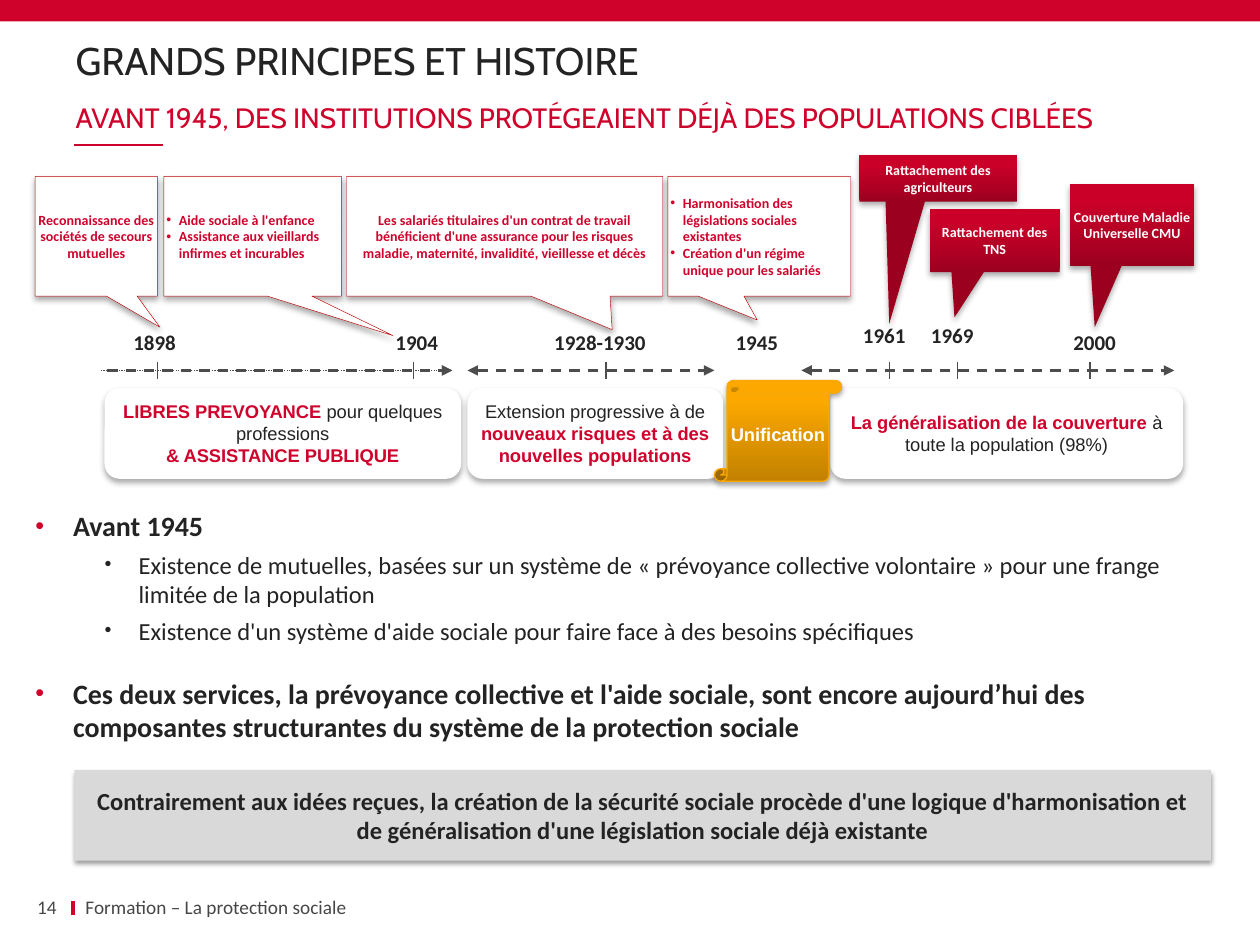
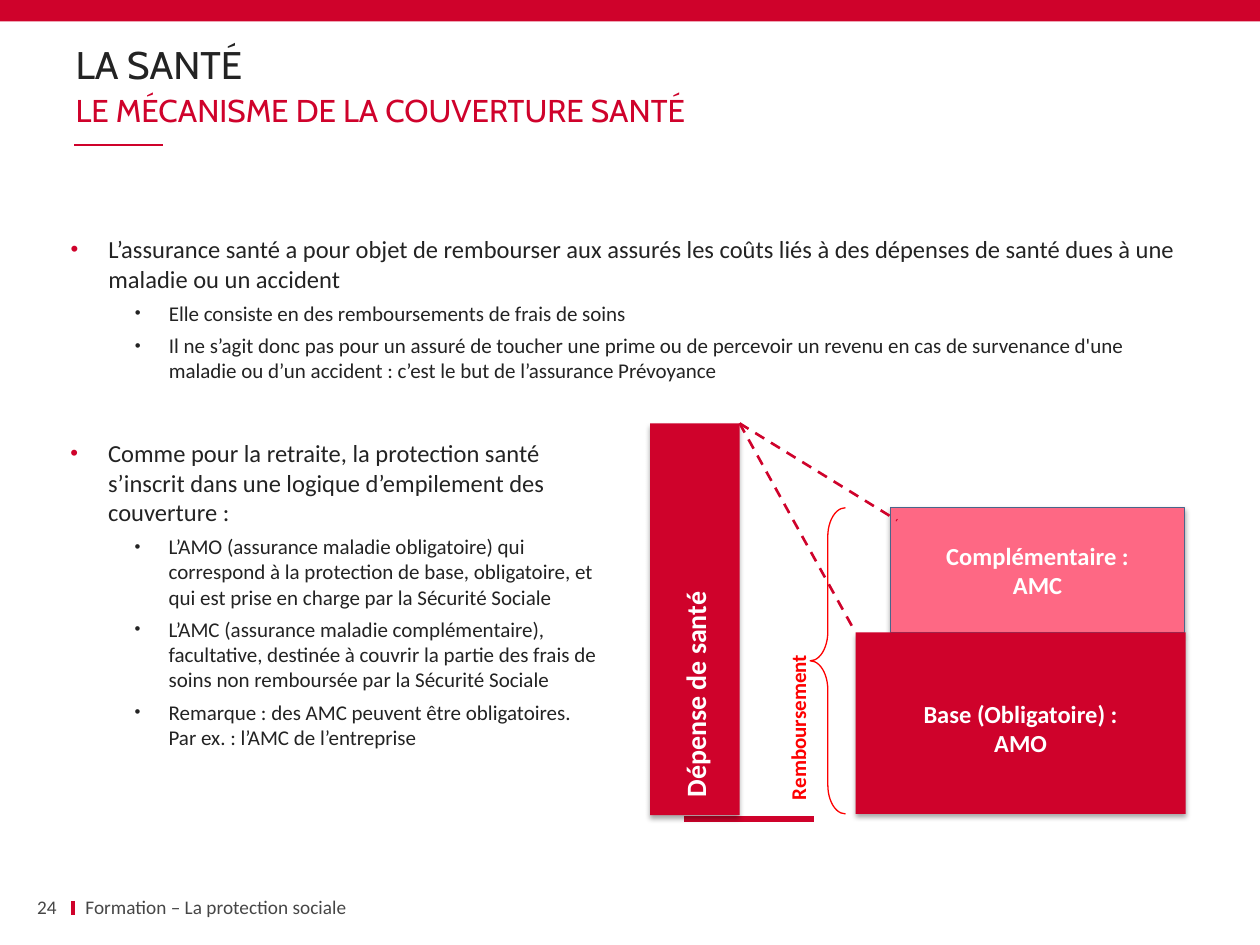
from dataclasses import dataclass

from lxml import etree
from pptx import Presentation
from pptx.dml.color import RGBColor
from pptx.enum.dml import MSO_LINE
from pptx.enum.shapes import MSO_CONNECTOR, MSO_SHAPE
from pptx.enum.text import MSO_ANCHOR, MSO_AUTO_SIZE, PP_ALIGN
from pptx.oxml.ns import qn
from pptx.util import Inches, Pt

LEFT, CENTER, RIGHT = PP_ALIGN.LEFT, PP_ALIGN.CENTER, PP_ALIGN.RIGHT
TOP, MIDDLE = MSO_ANCHOR.TOP, MSO_ANCHOR.MIDDLE
DASH, DOT = MSO_LINE.DASH, MSO_LINE.ROUND_DOT
STRAIGHT = MSO_CONNECTOR.STRAIGHT
FIXED = MSO_AUTO_SIZE.NONE
RECT, ROUND = MSO_SHAPE.RECTANGLE, MSO_SHAPE.ROUNDED_RECTANGLE
CALLOUT, SCROLL = MSO_SHAPE.RECTANGULAR_CALLOUT, MSO_SHAPE.VERTICAL_SCROLL
BRACE = MSO_SHAPE.LEFT_BRACE


@dataclass(frozen=True)
class Theme:
    red: str = "CF022B"
    ink: str = "232323"
    gray: str = "464646"
    axis: str = "4D4D4D"
    white: str = "FFFFFF"
    edge: str = "C00000"
    pink: str = "FE6884"
    blue: str = "4A658A"
    alert: str = "FD0000"
    panel: str = "D9D9D9"
    wine: tuple = ("9C001F", "CB0029")
    gold: tuple = ("C28100", "FCA800")
    amber: str = "FAA804"
    head: str = "Cabin"
    body: str = "Calibri"
    sans: str = "Arial"
    title: int = 22
    large: int = 16
    text: int = 14
    small: int = 12
    foot: int = 11
    stage: float = 10.5
    note: int = 8


THEME = Theme()
NONE = (0, 0, 0, 0)
FLAT = (0, 0.05, 0, 0.05)
PLAIN = (0.1, 0.05, 0.1, 0.05)
TIGHT = (0.02, 0.02, 0.02, 0.02)
SOFT = (32, 3.5, 2.2)
FIRM = (35, 3.1, 1.8)


def rgb(code):
    return RGBColor.from_string(code)


def setup(frame, pad=PLAIN, anchor=MIDDLE, wrap=True, turn=None):
    frame.auto_size = FIXED
    frame.word_wrap = wrap
    frame.vertical_anchor = anchor
    (frame.margin_left, frame.margin_top,
     frame.margin_right, frame.margin_bottom) = map(Inches, pad)
    if turn:
        frame._txBody.bodyPr.set("vert", turn)
    return frame


def write(frame, text, size=THEME.text, color=THEME.ink, face=THEME.body,
          bold=False, align=LEFT, gap=0, lead=None, level=0,
          mark=None, indent=(0, 0)):
    fresh = not frame.text
    para = frame.paragraphs[0] if fresh else frame.add_paragraph()
    para.level = level
    props = para._p.get_or_add_pPr()
    props.set("marL", str(Inches(indent[0])))
    props.set("indent", str(Inches(indent[1])))
    if mark:
        tint, scale = mark
        shade = etree.SubElement(props, qn("a:buClr"))
        etree.SubElement(shade, qn("a:srgbClr"), val=tint)
        etree.SubElement(props, qn("a:buSzPct"), val=str(scale * 1000))
        etree.SubElement(props, qn("a:buFont"), typeface=THEME.sans)
        etree.SubElement(props, qn("a:buChar"), char="•")
    else:
        etree.SubElement(props, qn("a:buNone"))
    para.alignment = align
    para.space_before = Pt(0 if fresh else gap)
    if lead:
        para.line_spacing = lead
    parts = [(text, color, bold)] if isinstance(text, str) else text
    for words, tint, heavy in parts:
        run = para.add_run()
        run.text = words
        run.font.name = face
        run.font.size = Pt(size)
        run.font.bold = heavy
        run.font.color.rgb = rgb(tint)


class Deck:
    def __init__(self, theme):
        self.theme = theme
        self.show = Presentation()
        self.show.slide_width, self.show.slide_height = Inches(10), Inches(7.5)
        self.slide = None

    def page(self, number, title, sub, tops, size):
        t = self.theme
        self.slide = self.show.slides.add_slide(self.show.slide_layouts[3])
        self.shape(RECT, (0, 0, 10, 0.17), t.red)
        self.line((0.59, 1.15), (1.29, 1.15), t.red, 1)
        self.line((0.58, 7.15), (0.58, 7.26), t.red, 2.25)
        write(self.holder(0, (0.6, tops[0], 8.8, 0.36), FLAT), title,
              size=t.title, face=t.head, lead=0.9)
        write(self.holder(1, (0.6, tops[1], 8.8, 0.3), FLAT), sub,
              size=size, face=t.head, color=t.red)
        write(self.box((0.13, 7.11, 0.32, 0.18), pad=FLAT), number,
              size=t.foot, color=t.gray, align=RIGHT)
        write(self.box((0.58, 7.11, 4.97, 0.18)), "Formation – La protection sociale",
              size=t.foot, color=t.gray)

    def holder(self, index, area, pad, anchor=MIDDLE):
        item = self.slide.placeholders[index]
        item.left, item.top, item.width, item.height = map(Inches, area)
        return setup(item.text_frame, pad, anchor)

    def box(self, area, **kind):
        item = self.slide.shapes.add_textbox(*map(Inches, area))
        return setup(item.text_frame, **kind)

    def shape(self, form, area, fill=None, line=None, shade=None, adjust=(), **kind):
        item = self.slide.shapes.add_shape(form, *map(Inches, area))
        for index, value in enumerate(adjust):
            item.adjustments[index] = value
        if fill is None:
            item.fill.background()
        elif isinstance(fill, tuple):
            item.fill.gradient()
            item.fill.gradient_angle = 90
            for stop, color, place in zip(item.fill.gradient_stops, fill, (0, 0.8)):
                stop.color.rgb, stop.position = rgb(color), place
        else:
            item.fill.solid()
            item.fill.fore_color.rgb = rgb(fill)
        if line:
            item.line.color.rgb, item.line.width = rgb(line[0]), Pt(line[1])
        else:
            item.line.fill.background()
        item.shadow.inherit = False
        if shade:
            alpha, blur, far = shade
            cast = etree.SubElement(
                item._element.spPr.find(qn("a:effectLst")), qn("a:outerShdw"),
                blurRad=str(Pt(blur)), dist=str(Pt(far)), dir="5400000",
                rotWithShape="0")
            tone = etree.SubElement(cast, qn("a:srgbClr"), val="000000")
            etree.SubElement(tone, qn("a:alpha"), val=str(alpha * 1000))
        return setup(item.text_frame, **kind)

    def line(self, start, end, color, width, dash=None, ends=()):
        item = self.slide.shapes.add_connector(STRAIGHT, *map(Inches, start + end))
        item.line.color.rgb, item.line.width = rgb(color), Pt(width)
        if dash:
            item.line.dash_style = dash
        for end in ends:
            etree.SubElement(item.line._get_or_add_ln(), qn("a:" + end), type="triangle")
        etree.SubElement(item._element.spPr, qn("a:effectLst"))

    def list(self, frame, items, sizes, bold=False, inner=0.78):
        t = self.theme
        for level, text in items:
            if level:
                write(frame, text, size=sizes[1], level=1, gap=4.1,
                      mark=(t.ink, 80), indent=(inner, -0.27))
            else:
                write(frame, text, size=sizes[0], bold=bold, gap=18,
                      mark=(t.red, 90), indent=(0.3, -0.3))

    def note(self, area, tip, lines, dark=False, dots=False):
        t = self.theme
        frame = self.shape(CALLOUT, area, t.wine if dark else t.white,
                           None if dark else (t.edge, 0.25), SOFT, tip, pad=TIGHT)
        look = (dict(mark=(t.red, 100), indent=(0.1, -0.1)) if dots
                else dict(align=CENTER))
        for text in lines:
            write(frame, text, size=t.note, bold=True,
                  color=t.white if dark else t.red, **look)

    def stage(self, left, width, lines):
        t = self.theme
        frame = self.shape(ROUND, (left, 3.08, width, 0.72), t.white, shade=SOFT,
                           pad=(0.02, 0.05, 0.02, 0.05))
        for parts in lines:
            write(frame, parts, size=t.stage, face=t.sans, align=CENTER)


def history(deck):
    t = deck.theme
    deck.page("14", "GRANDS PRINCIPES ET HISTOIRE",
              "AVANT 1945, DES INSTITUTIONS PROTÉGEAIENT DÉJÀ DES POPULATIONS CIBLÉES",
              (0.32, 0.78), t.large)
    for left, width, tip, dots, lines in (
        (5.3, 1.45, (-0.01, 0.7), True,
         ["Harmonisation des législations sociales existantes",
          "Création d'un régime unique pour les salariés"]),
        (0.28, 0.97, (0.52, 0.76), False,
         ["Reconnaissance des sociétés de secours mutuelles"]),
        (1.3, 1.41, (0.79, 0.83), True,
         ["Aide sociale à l'enfance",
          "Assistance aux vieillards infirmes et incurables"]),
        (2.75, 2.51, (0.34, 0.78), False,
         ["Les salariés titulaires d'un contrat de travail bénéficient d'une assurance "
          "pour les risques maladie, maternité, invalidité, vieillesse et décès"]),
    ):
        deck.note((left, 1.4, width, 0.95), tip, lines, dots=dots)
    for area, tip, text in (
        ((6.82, 1.23, 1.25, 0.37), (-0.31, 3.12), "Rattachement des agriculteurs"),
        ((7.38, 1.66, 1.03, 0.5), (-0.31, 1.22), "Rattachement des TNS"),
        ((8.49, 1.46, 0.99, 0.65), (-0.3, 1.25), "Couverture Maladie Universelle CMU"),
    ):
        deck.note(area, tip, [text], dark=True)

    for year, left, width, high in (
        ("1898", 0.96, 0.54, 0.27), ("1904", 3.04, 0.54, 0.27),
        ("1928-1930", 4.3, 0.93, 0.27), ("1945", 5.74, 0.54, 0.27),
        ("1961", 6.75, 0.78, 0.16), ("1969", 7.29, 0.78, 0.16),
        ("2000", 8.42, 0.54, 0.27),
    ):
        write(deck.box((left, 2.58, width, high), wrap=False), year,
              size=t.small, bold=True)

    deck.stage(0.83, 2.83, [
        [("LIBRES PREVOYANCE ", t.red, True), ("pour quelques professions", t.ink, False)],
        [("& ASSISTANCE PUBLIQUE", t.red, True)]])
    deck.stage(3.71, 2.03, [
        [("Extension progressive à de ", t.ink, False),
         ("nouveaux risques et à des nouvelles populations", t.red, True)]])
    deck.stage(6.59, 2.8, [
        [("La généralisation de la couverture ", t.red, True),
         ("à toute la population (98%)", t.ink, False)]])
    scroll = deck.shape(SCROLL, (5.67, 3.02, 1.01, 0.8), t.gold, (t.amber, 0.75),
                        FIRM, pad=NONE)
    write(scroll, "Unification", size=t.stage, face=t.sans, color=t.white,
          bold=True, align=CENTER)

    both = ("headEnd", "tailEnd")
    for start, end, width, dash, ends in (
        (0.8, 3.59, 0.75, DOT, both[1:]), (0.85, 3.59, 1.5, DASH, both[1:]),
        (3.71, 5.67, 1.5, DASH, both), (6.36, 9.32, 1.5, DASH, both),
    ):
        deck.line((start, 2.94), (end, 2.94), t.axis, width, dash, ends)
    for tick in (1.25, 3.28, 4.81, 7.06, 7.6, 8.65):
        deck.line((tick, 2.87), (tick, 3.01), t.axis, 0.75)

    deck.list(deck.holder(2, (0.28, 4.06, 9.47, 1.82), NONE), [
        (0, "Avant 1945"),
        (1, "Existence de mutuelles, basées sur un système de « prévoyance collective "
            "volontaire » pour une frange limitée de la population"),
        (1, "Existence d'un système d'aide sociale pour faire face à des besoins spécifiques"),
        (0, "Ces deux services, la prévoyance collective et l'aide sociale, sont encore "
            "aujourd’hui des composantes structurantes du système de la protection sociale"),
    ], (t.large, t.text), bold=True, inner=0.82)
    banner = deck.shape(RECT, (0.59, 6.11, 9.02, 0.72), t.panel, shade=(38, 3.1, 1.6))
    write(banner, "Contrairement aux idées reçues, la création de la sécurité sociale procède "
          "d'une logique d'harmonisation et de généralisation d'une législation sociale "
          "déjà existante", bold=True, align=CENTER)


def health(deck):
    t = deck.theme
    deck.page("24", "LA SANTÉ", "LE MÉCANISME DE LA COUVERTURE SANTÉ", (0.35, 0.72), 18)
    sizes = (t.text, t.small)
    deck.list(deck.holder(2, (0.56, 1.86, 8.85, 1.3), NONE, TOP), [
        (0, "L’assurance santé a pour objet de rembourser aux assurés les coûts liés à des "
            "dépenses de santé dues à une maladie ou un accident"),
        (1, "Elle consiste en des remboursements de frais de soins"),
        (1, "Il ne s’agit donc pas pour un assuré de toucher une prime ou de percevoir un "
            "revenu en cas de survenance d'une maladie ou d’un accident : c’est le but de "
            "l’assurance Prévoyance"),
    ], sizes)
    deck.list(deck.box((0.46, 3.43, 4.41, 2.59), anchor=TOP), [
        (0, "Comme pour la retraite, la protection santé s’inscrit dans une logique "
            "d’empilement des couverture :"),
        (1, "L’AMO (assurance maladie obligatoire) qui correspond à la protection de base, "
            "obligatoire, et qui est prise en charge par la Sécurité Sociale"),
        (1, "L’AMC (assurance maladie complémentaire), facultative, destinée à couvrir la "
            "partie des frais de soins non remboursée par la Sécurité Sociale"),
        (1, "Remarque : des AMC peuvent être obligatoires. Par ex. : l’AMC de l’entreprise"),
    ], sizes)

    deck.line((5.43, 6.5), (6.46, 6.5), t.red, 3)
    for area, fill, line, pad, lines in (
        ((7.07, 4.03, 2.33, 0.99), t.pink, (t.blue, 0.75), PLAIN,
         ("Complémentaire :", "AMC")),
        ((6.79, 5.02, 2.62, 1.44), t.red, None, (0.1, 0.13, 0.1, 0.05),
         ("Base (Obligatoire) :", "AMO")),
    ):
        frame = deck.shape(RECT, area, fill, line, FIRM, pad=pad)
        for text in lines:
            write(frame, text, color=t.white, bold=True, align=CENTER)
    deck.shape(BRACE, (6.43, 4.03, 0.28, 2.43), line=(t.alert, 0.75), adjust=(0.82, 0.5))
    refund = deck.box((6.19, 4.03, 0.28, 2.43), pad=(0, 0, 0, 0.11), turn="vert270")
    write(refund, "Remboursement", size=t.small, color=t.alert, bold=True)
    spend = deck.shape(RECT, (5.16, 3.36, 0.71, 3.11), t.red, shade=FIRM,
                       pad=(0.04, 0.04, 0.04, 0.14), turn="vert270")
    write(spend, "Dépense de santé", size=t.large, color=t.white, bold=True)
    for end in ((6.79, 5.02), (7.12, 4.13)):
        deck.line((5.87, 3.36), end, t.red, 1.5, DASH)


def main():
    deck = Deck(THEME)
    history(deck)
    health(deck)
    deck.show.save("out.pptx")


if __name__ == "__main__":
    main()
